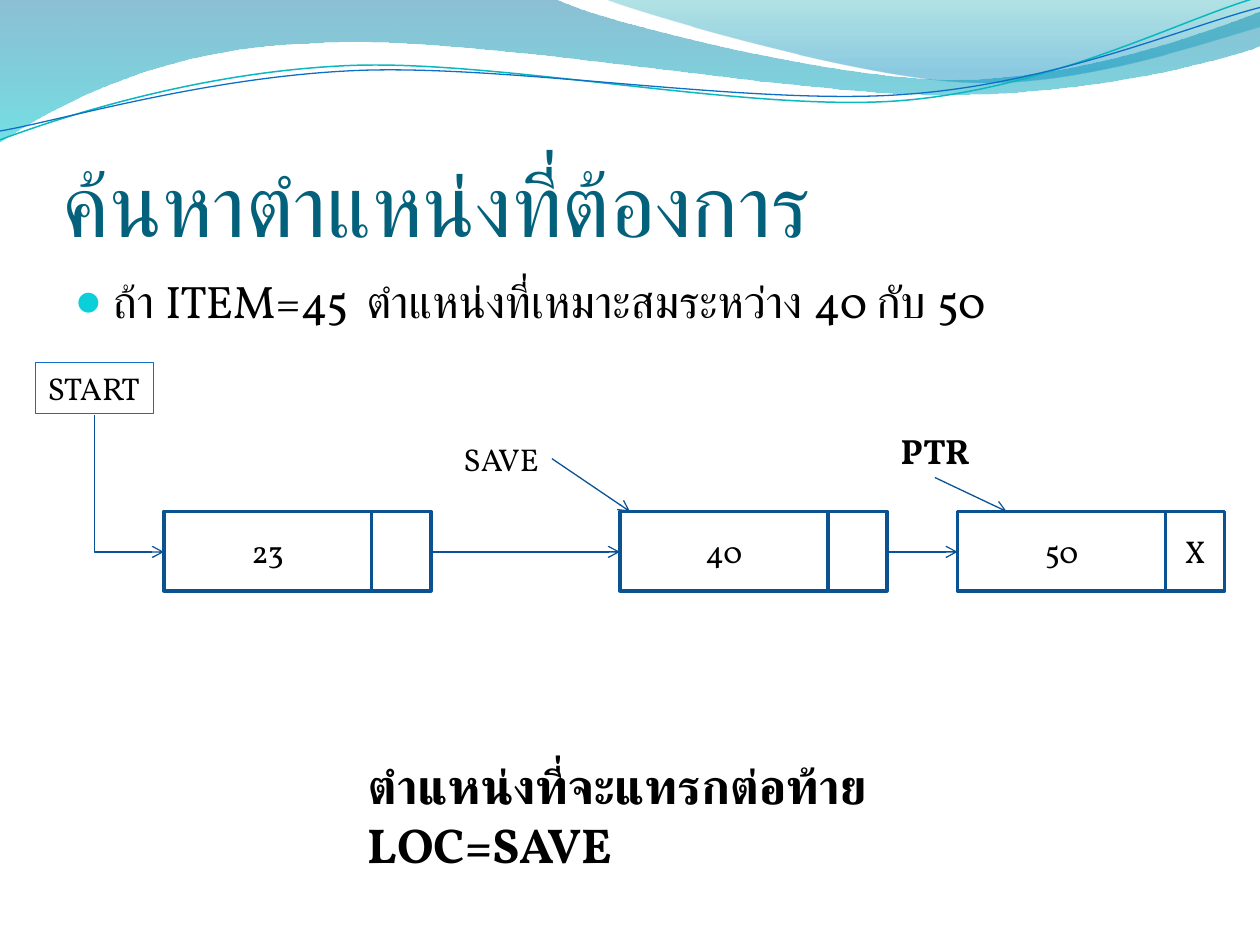
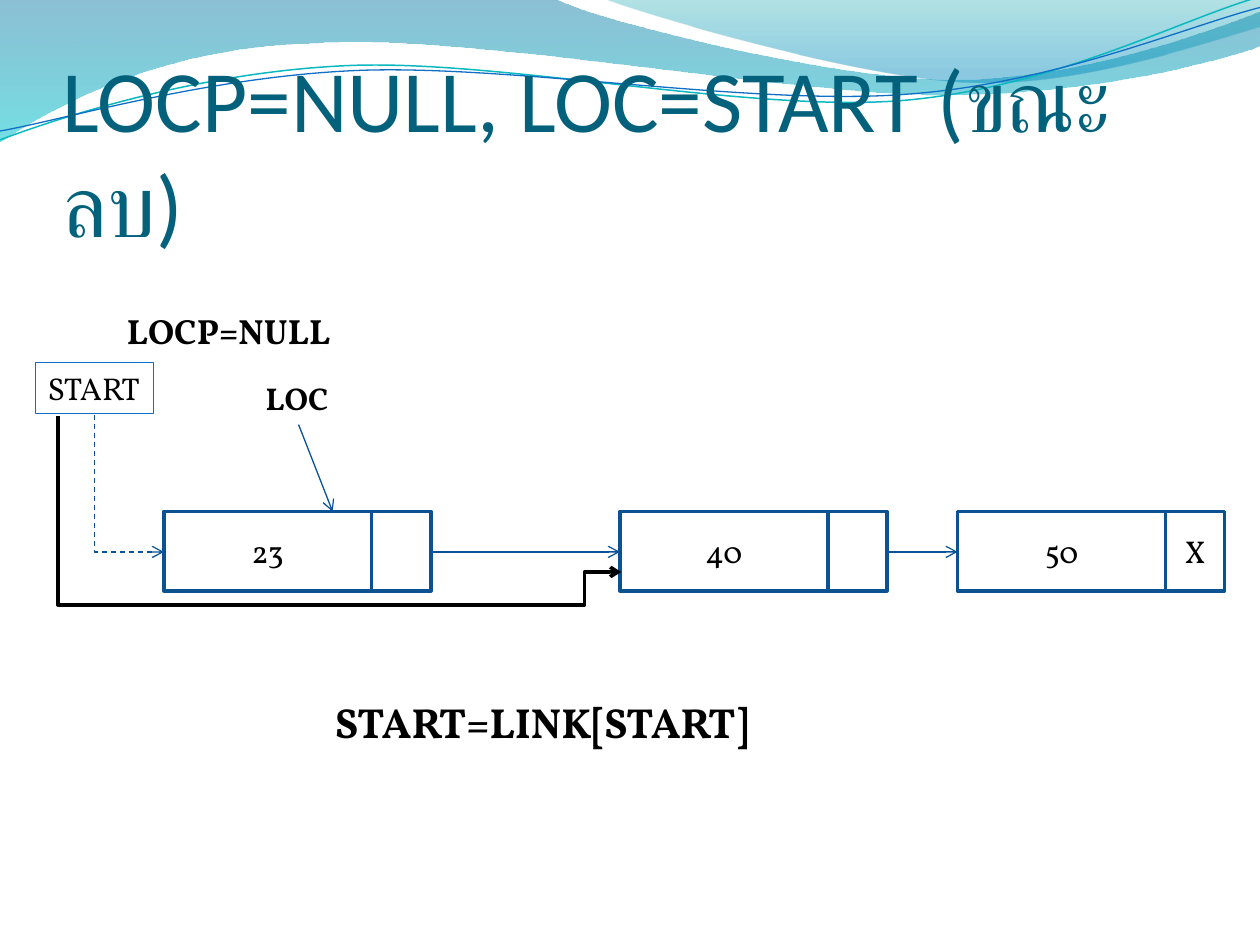
import math

import lxml.etree
import pptx
import pptx.dml.color
import pptx.enum.dml
import pptx.enum.shapes
import pptx.enum.text
import pptx.oxml.ns
import pptx.util

Inches = pptx.util.Inches
Pt = pptx.util.Pt
qn = pptx.oxml.ns.qn
ANCHOR = pptx.enum.text.MSO_ANCHOR
ALIGN = pptx.enum.text.PP_ALIGN
GROW = pptx.enum.text.MSO_AUTO_SIZE.SHAPE_TO_FIT_TEXT
CONNECTOR = pptx.enum.shapes.MSO_CONNECTOR
DASH = pptx.enum.dml.MSO_LINE.DASH

COLORS = {
    "title": "04617B", "text": "000000", "paper": "FFFFFF", "bullet": "0BD0D9",
    "start": "0F6FC6", "node": "0B5292", "arrow": "095295", "teal": "0AB8BF",
    "band_top": "0074A1", "band_bottom": "00C6CF",
    "corner_top": "00A1A9", "corner_bottom": "008BBF",
}

BANDS = [
    {"start": (0, 0), "stops": [(0, "band_top", 45), (1, "band_bottom", 55)], "steps": [
        (4.4, -0.01), (4.76, 0.17, 6.64, 0.63, 7.58, 0.63), (8.53, 0.63, 9.58, 0.26, 10, 0.09),
        (10.01, 0.36), (9.83, 0.44, 8.7, 0.76, 7.46, 0.75), (6.22, 0.75, 3.82, 0.28, 2.57, 0.34),
        (1.29, 0.36, 0.46, 0.83, -0.01, 1.13)]},
    {"start": (4.79, -0.01), "stops": [(0, "corner_top", 30), (0.8, "corner_bottom", 45)], "steps": [
        (5.09, 0.11, 6.82, 0.62, 7.69, 0.65), (8.56, 0.69, 9.61, 0.32, 10, 0.21), (10, 0)]},
]
WAVE_TILT = 2.7
WAVES = [
    {"start": (0, 1.11), "center": (4.99, 0.58), "line": ("teal", 0.85), "steps": [
        (0.48, 0.93, 1.58, 0.57, 2.77, 0.52), (3.95, 0.47, 5.93, 0.89, 7.13, 0.8),
        (8.33, 0.71, 9.38, 0.15, 9.98, -0.02)]},
    {"start": (0, 1.04), "center": (5, 0.59), "line": ("start", 0.75), "steps": [
        (0.47, 0.96, 1.64, 0.61, 2.83, 0.56), (4.03, 0.51, 5.97, 0.84, 7.17, 0.75),
        (8.36, 0.67, 9.41, 0.21, 10, 0.06)]},
]

NODES = [(1.3, "23", ""), (4.92, "40", ""), (7.6, "50", "X")]
NODE_TOP, NODE_HEIGHT, VALUE_WIDTH, LINK_WIDTH = 4.06, 0.63, 1.65, 0.47
NODE_MIDDLE = 4.38

SLIDES = [
    {
        "title": "ค้นหาตำแหน่งที่ต้องการ",
        "bullet": ("ถ้า ITEM=45", "ตำแหน่งที่เหมาะสมระหว่าง 40 กับ 50"),
        "labels": [
            ("SAVE", (3.58, 3.44, 0.8, 0.4), 18, False, False),
            ("ตำแหน่งที่จะแทรกต่อท้าย LOC=SAVE", (2.82, 5.95, 6.03, 0.57), 28, True, True),
            ("PTR", (7.05, 3.36, 0.75, 0.44), 20, True, False),
        ],
        "pointers": [((4.38, 3.64), (5, NODE_TOP)), ((7.42, 3.79), (7.99, NODE_TOP))],
        "start_dash": None,
        "detour": [],
    },
    {
        "title": "LOCP=NULL, LOC=START (ขณะลบ)",
        "bullet": (),
        "labels": [
            ("LOC", (2.01, 2.96, 0.72, 0.4), 18, True, False),
            ("LOCP=NULL", (0.91, 2.41, 1.86, 0.44), 20, True, False),
            ("START=LINK[START]", (2.56, 5.48, 3.5, 0.5), 24, True, False),
        ],
        "pointers": [((2.37, 3.37), (2.64, NODE_TOP))],
        "start_dash": DASH.DASH,
        "detour": [(0.46, 3.3), (0.46, 4.8), (4.64, 4.8), (4.64, 4.54), (4.93, 4.54)],
    },
]


def rgb(name):
    return pptx.dml.color.RGBColor.from_string(COLORS[name])


def set_all(target, **values):
    for name, value in values.items():
        setattr(target, name, value)


def set_line(shape, color, width, dash=None):
    shape.line.color.rgb = rgb(color)
    shape.line.width = Pt(width)
    if dash:
        shape.line.dash_style = dash


def add_arrowhead(shape):
    line = shape._element.spPr.find(qn("a:ln"))
    lxml.etree.SubElement(line, qn("a:tailEnd"), type="arrow")


def add_span(para, text, size, font="Vollkorn", color="text", bold=False):
    span = para.add_run()
    span.text = text
    set_all(span.font, name=font, size=Pt(size), bold=bold)
    span.font.color.rgb = rgb(color)
    return span


def write(shape, text, size, font="Vollkorn", color="text", bold=False, align=ALIGN.LEFT, **frame):
    set_all(shape.text_frame, **{"word_wrap": True, "vertical_anchor": ANCHOR.TOP, **frame})
    para = shape.text_frame.paragraphs[0]
    para.alignment = align
    add_span(para, text, size, font, color, bold)
    return para


def add_text(page, place, text, size, **options):
    box = page.shapes.add_textbox(*map(Inches, place))
    return write(box, text, size, **options)


def add_rectangle(page, place, fill, line, width):
    box = page.shapes.add_shape(pptx.enum.shapes.MSO_SHAPE.RECTANGLE, *map(Inches, place))
    box.shadow.inherit = False
    if fill:
        box.fill.solid()
        box.fill.fore_color.rgb = rgb(fill)
    else:
        box.fill.background()
    set_line(box, line, width)
    return box


def turn(point, center, degrees):
    x, y = point[0] - center[0], point[1] - center[1]
    cosine, sine = math.cos(math.radians(degrees)), math.sin(math.radians(degrees))
    return center[0] + x * cosine - y * sine, center[1] + x * sine + y * cosine


def add_outline(page, points, close=False):
    points = [(Inches(x), Inches(y)) for x, y in points]
    builder = page.shapes.build_freeform(*points[0], scale=1.0)
    builder.add_line_segments(points[1:], close=close)
    shape = builder.convert_to_shape()
    shape.shadow.inherit = False
    shape.fill.background()
    return shape


def add_curve(page, start, steps, center=(0, 0), tilt=0, close=False):
    points = [start] + [step[i:i + 2] for step in steps for i in range(0, len(step), 2)]
    shape = add_outline(page, [turn(point, center, tilt) for point in points], close)
    segments = iter(list(shape._element.spPr.iter(qn("a:lnTo"))))
    for step in steps:
        parts = [next(segments) for _ in range(len(step) // 2)]
        if len(parts) == 3:
            bend = lxml.etree.Element(qn("a:cubicBezTo"))
            parts[0].addprevious(bend)
            for part in parts:
                bend.append(part[0])
                part.getparent().remove(part)
    shape.rotation = -tilt % 360
    return shape


def add_waves(page):
    for band in BANDS:
        shape = add_curve(page, band["start"], band["steps"], close=True)
        shape.line.fill.background()
        shape.fill.gradient()
        shape.fill.gradient_angle = 270
        for stop, (position, color, _) in zip(shape.fill.gradient_stops, band["stops"]):
            stop.position = position
            stop.color.rgb = rgb(color)
        tints = shape._element.spPr.iter(qn("a:srgbClr"))
        for tint, (_, _, opacity) in zip(list(tints), band["stops"]):
            lxml.etree.SubElement(tint, qn("a:alpha"), val=str(opacity * 1000))
    for wave in WAVES:
        set_line(add_curve(page, wave["start"], wave["steps"], wave["center"], WAVE_TILT), *wave["line"])


def share_waves(page):
    add_waves(page)
    for shape in list(page.shapes):
        page.slide_layout.shapes._spTree.append(shape._element)


def add_arrow(page, begin, end, kind=CONNECTOR.STRAIGHT, dash=None):
    arrow = page.shapes.add_connector(kind, *map(Inches, (*begin, *end)))
    set_line(arrow, "arrow", 0.75, dash)
    add_arrowhead(arrow)
    lxml.etree.SubElement(arrow._element.spPr, qn("a:effectLst"))
    return arrow


def add_corner_arrow(page, begin, end, dash):
    center_x, center_y = (begin[0] + end[0]) / 2, (begin[1] + end[1]) / 2
    half_x, half_y = (end[0] - begin[0]) / 2, (end[1] - begin[1]) / 2
    arrow = add_arrow(page, (center_x - half_y, center_y - half_x),
                      (center_x + half_y, center_y + half_x), CONNECTOR.ELBOW, dash)
    properties = arrow._element.spPr
    properties.find(qn("a:prstGeom")).set("prst", "bentConnector2")
    frame = properties.find(qn("a:xfrm"))
    frame.set("rot", "16200000")
    frame.set("flipH", "1")


def add_bullet(page, condition, result):
    para = add_text(page, (0.5, 2.12, 9, 4.8), condition, 26)
    gap = add_span(para, " ", 26)
    gap.font._element.set("spc", "510")
    add_span(para, result, 26)
    properties = para._p.get_or_add_pPr()
    properties.set("marL", str(Inches(0.3)))
    properties.set("indent", str(Inches(-0.3)))
    tint = lxml.etree.SubElement(properties, qn("a:buClr"))
    lxml.etree.SubElement(tint, qn("a:srgbClr"), val=COLORS["bullet"])
    lxml.etree.SubElement(properties, qn("a:buSzPct"), val="95000")
    lxml.etree.SubElement(properties, qn("a:buFont"), typeface="Calibri")
    lxml.etree.SubElement(properties, qn("a:buChar"), char="●")


def add_list(page, start_dash):
    start = add_rectangle(page, (0.28, 2.88, 0.94, 0.4), None, "start", 0.75)
    write(start, "START", 18, word_wrap=False, auto_size=GROW)
    for left, value, link in NODES:
        for cell_left, width, text in ((left, VALUE_WIDTH, value), (left + VALUE_WIDTH, LINK_WIDTH, link)):
            cell = add_rectangle(page, (cell_left, NODE_TOP, width, NODE_HEIGHT), "paper", "node", 2)
            if text:
                write(cell, text, 18, align=ALIGN.CENTER, vertical_anchor=ANCHOR.MIDDLE)
    add_corner_arrow(page, (0.75, 3.29), (NODES[0][0], NODE_MIDDLE), start_dash)
    for node, following in zip(NODES, NODES[1:]):
        right = node[0] + VALUE_WIDTH + LINK_WIDTH
        add_arrow(page, (right, NODE_MIDDLE), (following[0], NODE_MIDDLE))


def fill_page(page, content):
    add_text(page, (0.5, 0.77, 9, 1.25), content["title"], 50, font="Calibri", color="title",
             vertical_anchor=ANCHOR.BOTTOM, margin_left=0, margin_right=0, margin_bottom=0)
    if content["bullet"]:
        add_bullet(page, *content["bullet"])
    add_list(page, content["start_dash"])
    for text, place, size, bold, wrap in content["labels"]:
        add_text(page, place, text, size, bold=bold, word_wrap=wrap, auto_size=GROW)
    for begin, end in content["pointers"]:
        add_arrow(page, begin, end)
    if content["detour"]:
        detour = add_outline(page, content["detour"])
        set_line(detour, "text", 2)
        add_arrowhead(detour)


def main():
    deck = pptx.Presentation()
    set_all(deck, slide_width=Inches(10), slide_height=Inches(7.5))
    pages = [deck.slides.add_slide(deck.slide_layouts[6]) for _ in SLIDES]
    share_waves(pages[0])
    for page, content in zip(pages, SLIDES):
        fill_page(page, content)
    deck.save("out.pptx")


if __name__ == "__main__":
    main()
